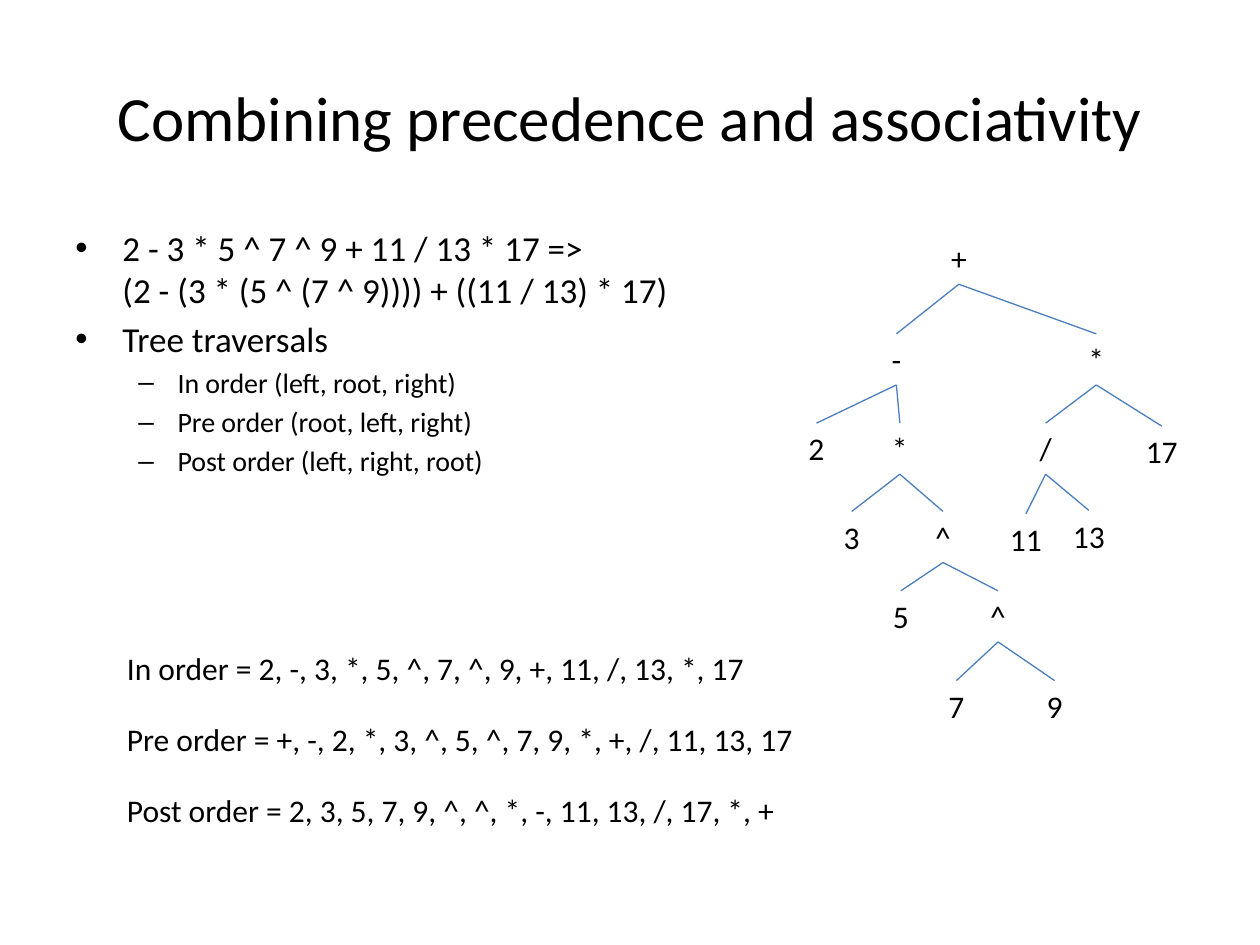
from dataclasses import dataclass
from typing import NamedTuple

from lxml import etree
from pptx import Presentation
from pptx.dml.color import RGBColor
from pptx.enum.shapes import MSO_CONNECTOR
from pptx.enum.text import MSO_ANCHOR, MSO_AUTO_SIZE, PP_ALIGN
from pptx.oxml.ns import qn
from pptx.util import Cm, Pt


@dataclass(frozen=True)
class Theme:
    font: str = "Calibri"
    text: RGBColor = RGBColor(0, 0, 0)
    branch: RGBColor = RGBColor(0x4B, 0x7E, 0xBC)
    branch_width: float = 0.75
    title: int = 36
    levels: tuple = (20, 16)
    label: int = 18


class Node(NamedTuple):
    symbol: str
    x: float
    top: float
    children: tuple = ()


THEME = Theme()
LABEL_HEIGHT = 1.03
INDENTS = ((0.95, "•"), (0.79, "–"))
LEFT_MARGINS = (0.95, 2.06)

POWER_7_9 = Node("^", 20.12, 11.91, (Node("7", 19.28, 13.72), Node("9", 21.26, 13.72)))
POWER_5 = Node("^", 19.01, 10.31, (Node("5", 18.16, 11.91), POWER_7_9))
PRODUCT_3 = Node("*", 18.14, 8.53, (Node("3", 17.17, 10.31), POWER_5))
DIFFERENCE = Node("-", 18.07, 6.73, (Node("2", 16.46, 8.53), PRODUCT_3))
QUOTIENT = Node("/", 21.08, 8.53, (Node("11", 20.68, 10.36), Node("13", 21.95, 10.29)))
PRODUCT_17 = Node("*", 22.1, 6.73, (QUOTIENT, Node("17", 23.42, 8.59)))
EXPRESSION_TREE = Node("+", 19.33, 4.7, (DIFFERENCE, PRODUCT_17))

OUTLINE = (
    (0, "2 - 3 * 5 ^ 7 ^ 9 + 11 / 13 * 17 =>\v(2 - (3 * (5 ^ (7 ^ 9)))) + ((11 / 13) * 17)"),
    (0, "Tree traversals"),
    (1, "In order (left, root, right)"),
    (1, "Pre order (root, left, right)"),
    (1, "Post order (left, right, root)"),
)

TRAVERSALS = (
    ("In order = 2, -, 3, *, 5, ^, 7, ^, 9, +, 11, /, 13, *, 17", 13.13),
    ("Pre order = +, -, 2, *, 3, ^, 5, ^, 7, 9, *, +, /, 11, 13, 17", 14.12),
    ("Post order = 2, 3, 5, 7, 9, ^, ^, *, -, 11, 13, /, 17, *, +", 13.74),
)


def write(paragraph, text, size, align=PP_ALIGN.LEFT):
    paragraph.text = text
    paragraph.alignment = align
    for run in paragraph.runs:
        run.font.name = THEME.font
        run.font.size = Pt(size)
        run.font.color.rgb = THEME.text


def add_title(slide, text):
    title = slide.shapes.title
    title.left, title.top, title.width, title.height = Cm(1.27), Cm(0.76), Cm(22.86), Cm(3.18)
    title.text_frame.vertical_anchor = MSO_ANCHOR.MIDDLE
    write(title.text_frame.paragraphs[0], text, THEME.title, PP_ALIGN.CENTER)


def add_bullet(paragraph, level, text):
    size = THEME.levels[level]
    hanging, mark = INDENTS[level]
    write(paragraph, text, size)
    paragraph.level = level
    paragraph.space_before = Pt(size * 0.2)
    properties = paragraph._p.get_or_add_pPr()
    properties.set("marL", str(Cm(LEFT_MARGINS[level])))
    properties.set("indent", str(-Cm(hanging)))
    etree.SubElement(properties, qn("a:buFont")).set("typeface", "Arial")
    etree.SubElement(properties, qn("a:buChar")).set("char", mark)


def add_outline(slide, items):
    frame = slide.shapes.add_textbox(Cm(1.27), Cm(4.45), Cm(12.62), Cm(6.35)).text_frame
    frame.word_wrap = True
    for index, (level, text) in enumerate(items):
        paragraph = frame.add_paragraph() if index else frame.paragraphs[0]
        add_bullet(paragraph, level, text)


def add_label(slide, text, left, top, width, align=PP_ALIGN.LEFT):
    box = slide.shapes.add_textbox(Cm(left), Cm(top), Cm(width), Cm(LABEL_HEIGHT))
    box.text_frame.word_wrap = False
    box.text_frame.auto_size = MSO_AUTO_SIZE.SHAPE_TO_FIT_TEXT
    write(box.text_frame.paragraphs[0], text, THEME.label, align)


def add_branch(slide, parent, child):
    line = slide.shapes.add_connector(
        MSO_CONNECTOR.STRAIGHT,
        Cm(parent.x), Cm(parent.top + LABEL_HEIGHT), Cm(child.x), Cm(child.top),
    )
    line.line.color.rgb = THEME.branch
    line.line.width = Pt(THEME.branch_width)
    etree.SubElement(line._element.spPr, qn("a:effectLst"))


def add_tree(slide, node):
    width = 0.51 + 0.33 * len(node.symbol)
    add_label(slide, node.symbol, node.x - width / 2, node.top, width, PP_ALIGN.CENTER)
    for child in node.children:
        add_branch(slide, node, child)
        add_tree(slide, child)


def main():
    """Build the slide on operator precedence, associativity and tree traversals."""
    deck = Presentation()
    deck.slide_width, deck.slide_height = Cm(25.4), Cm(19.05)
    slide = deck.slides.add_slide(deck.slide_layouts[5])
    add_title(slide, "Combining precedence and associativity")
    add_outline(slide, OUTLINE)
    add_tree(slide, EXPRESSION_TREE)
    for index, (text, width) in enumerate(TRAVERSALS):
        add_label(slide, text, 2.31, 12.95 + 1.44 * index, width)
    deck.save("out.pptx")


main()
